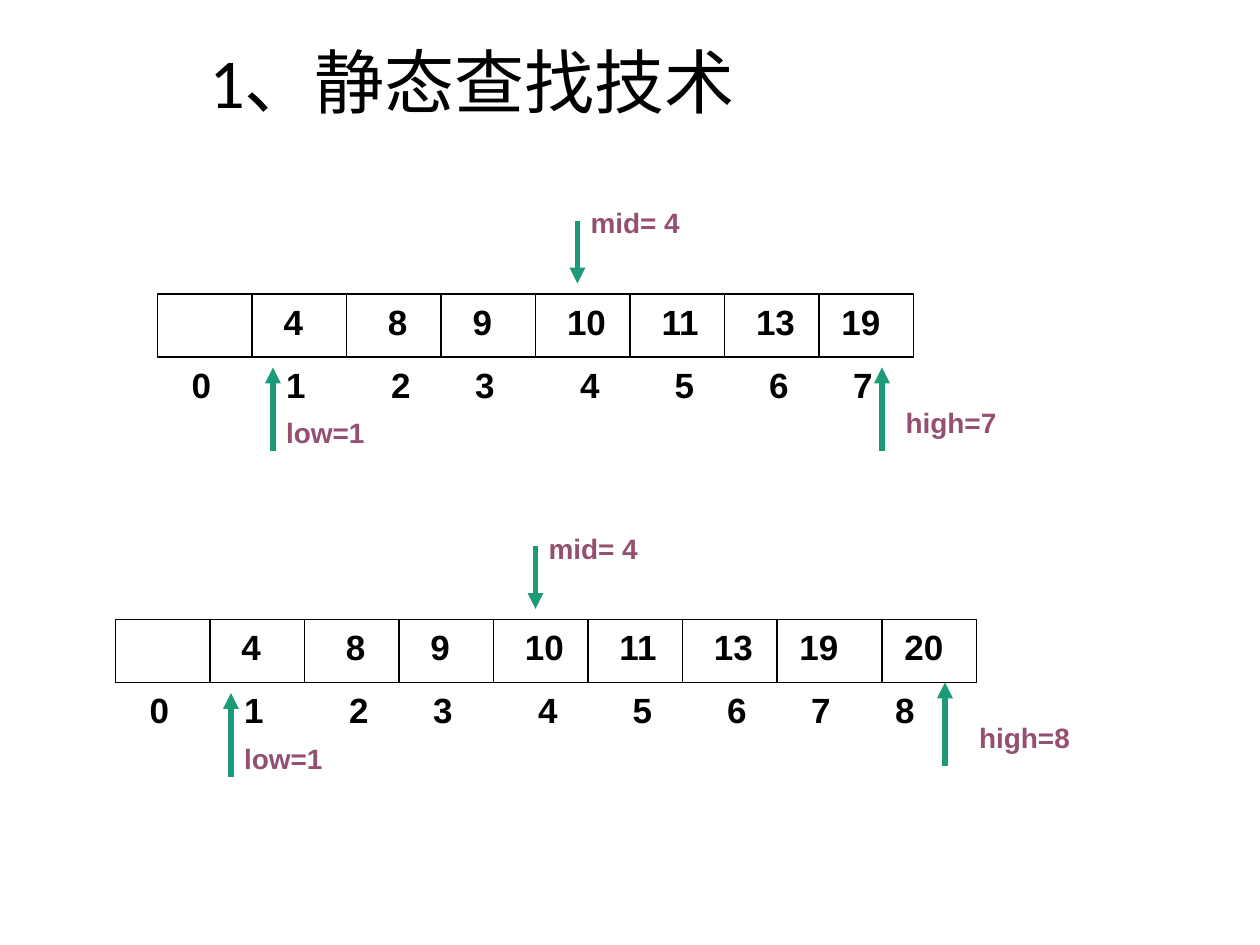
from dataclasses import dataclass

from lxml import etree
from pptx import Presentation
from pptx.dml.color import RGBColor
from pptx.enum.shapes import MSO_CONNECTOR, MSO_SHAPE
from pptx.enum.text import MSO_ANCHOR, MSO_AUTO_SIZE, PP_ALIGN
from pptx.oxml.ns import qn
from pptx.shapes.shapetree import GroupShapes
from pptx.slide import Slide
from pptx.util import Emu, Pt

LINE = MSO_CONNECTOR.STRAIGHT
RECT = MSO_SHAPE.RECTANGLE
MIDDLE = MSO_ANCHOR.MIDDLE
LEFT, CENTER = PP_ALIGN.LEFT, PP_ALIGN.CENTER
GROW, FIXED = MSO_AUTO_SIZE.SHAPE_TO_FIT_TEXT, MSO_AUTO_SIZE.NONE

SCALE = 9525  # EMU in one px, 96 px to the inch
CELL_W, CELL_H = 72, 48
PAD, SLIM = 10, 2  # side margins of a text box
BLACK, WHITE, GREEN, PLUM = "000000", "FFFFFF", "1D9A78", "954F72"
SHIFTS = (16, 16, 24, 16, 24, 24, 24, 16, 0)  # index label from its cell edge


@dataclass
class High:
    text: str
    x: int
    top: int
    gap: int


@dataclass
class Row:
    x: int
    y: int
    width: int
    edges: list[int]
    values: list[str]
    high: High


def px(n: int) -> Emu:
    return Emu(n * SCALE)


def color(code: str) -> RGBColor:
    return RGBColor.from_string(code)


def write(shapes: GroupShapes, x: int, y: int, w: int, h: int, text: str,
          size: int = 20, code: str = BLACK, lead: int = 0,
          align: PP_ALIGN = LEFT) -> None:
    """Add a bold label; lead widens its left margin."""
    frame = shapes.add_textbox(px(x), px(y), px(w), px(h)).text_frame
    frame.word_wrap = True
    frame.auto_size = GROW
    frame.margin_left = px(PAD + lead)
    # Left-aligned text keeps a slim right margin so two digits fit
    frame.margin_right = px(PAD if align == CENTER else SLIM)
    para = frame.paragraphs[0]
    para.alignment = align
    run = para.add_run()
    run.text = text
    font = run.font
    font.name, font.size, font.bold = "Arial", Pt(size), True
    font.color.rgb = color(code)


def rule(shapes: GroupShapes, x: int, top: int, end: int, code: str = BLACK,
         width: float = 0.75, tip: str = "") -> None:
    """Add an upright line; tip names the end that has an arrowhead."""
    line = shapes.add_connector(LINE, px(x), px(top), px(x), px(end))
    line.line.color.rgb = color(code)
    line.line.width = Pt(width)
    if tip:
        etree.SubElement(line.line._ln, qn(tip), type="triangle")
    etree.SubElement(line._element.spPr, qn("a:effectLst"))


def arrow(shapes: GroupShapes, x: int, top: int, end: int, tip: str) -> None:
    rule(shapes, x, top, end, GREEN, 3, tip)


def draw_row(slide: Slide, row: Row) -> None:
    shapes = slide.shapes.add_group_shape().shapes
    x, y = row.x, row.y

    # Frame and dividers
    frame = shapes.add_shape(RECT, px(x), px(y), px(row.width), px(CELL_H))
    frame.shadow.inherit = False
    frame.fill.solid()
    frame.fill.fore_color.rgb = color(WHITE)
    frame.line.color.rgb = color(BLACK)
    frame.line.width = Pt(0.75)
    for edge in row.edges[1:]:
        rule(shapes, x + edge, y, y + CELL_H)

    # Values and indexes
    for i, (edge, value) in enumerate(zip(row.edges, row.values)):
        if value:
            write(shapes, x + edge, y, 64, 42, value,
                  lead=14 if i < 7 else 7, align=CENTER if i == 2 else LEFT)
        write(shapes, x + edge + SHIFTS[i], y + CELL_H, 32, 42, str(i))

    # Pointers
    mid, low, high = x + 320, x + 88, row.high
    write(shapes, mid, y - 72, 96, 35, "mid= 4", 16, PLUM)
    arrow(shapes, mid, y - 56, y - 8, "a:tailEnd")
    write(shapes, low, y + 88, 128, 35, "low=1", 16, PLUM)
    arrow(shapes, low, y + 56, y + 120, "a:headEnd")
    tip = y + high.top
    write(shapes, x + high.x + high.gap, tip + 24, 128, 35, high.text, 16, PLUM)
    arrow(shapes, x + high.x, tip, tip + 64, "a:headEnd")


def draw_title(slide: Slide, text: str) -> None:
    title = slide.shapes.title
    title.left, title.top = px(150), px(30)
    title.width, title.height = px(725), px(71)
    frame = title.text_frame
    frame.auto_size = FIXED
    frame.vertical_anchor = MIDDLE
    para = frame.paragraphs[0]
    para.alignment = LEFT
    para.line_spacing = 0.9
    run = para.add_run()
    run.text = text
    run.font.name, run.font.size = "Calibri", Pt(40)
    run.font.color.rgb = color(BLACK)


def main() -> None:
    deck = Presentation()
    deck.slide_width, deck.slide_height = px(960), px(720)
    slide = deck.slides.add_slide(deck.slide_layouts[5])
    draw_title(slide, "1、静态查找技术")

    edges = [CELL_W * i for i in range(8)]
    values = ["", "4", "8", "9", "10", "11", "13", "19"]
    rows = [
        Row(120, 224, 576, edges, values, High("high=7", 552, 56, 8)),
        Row(88, 472, 656, edges + [584], values + ["20"],
            High("high=8", 632, 48, 16)),
    ]
    for row in rows:
        draw_row(slide, row)
    deck.save("out.pptx")


if __name__ == "__main__":
    main()
